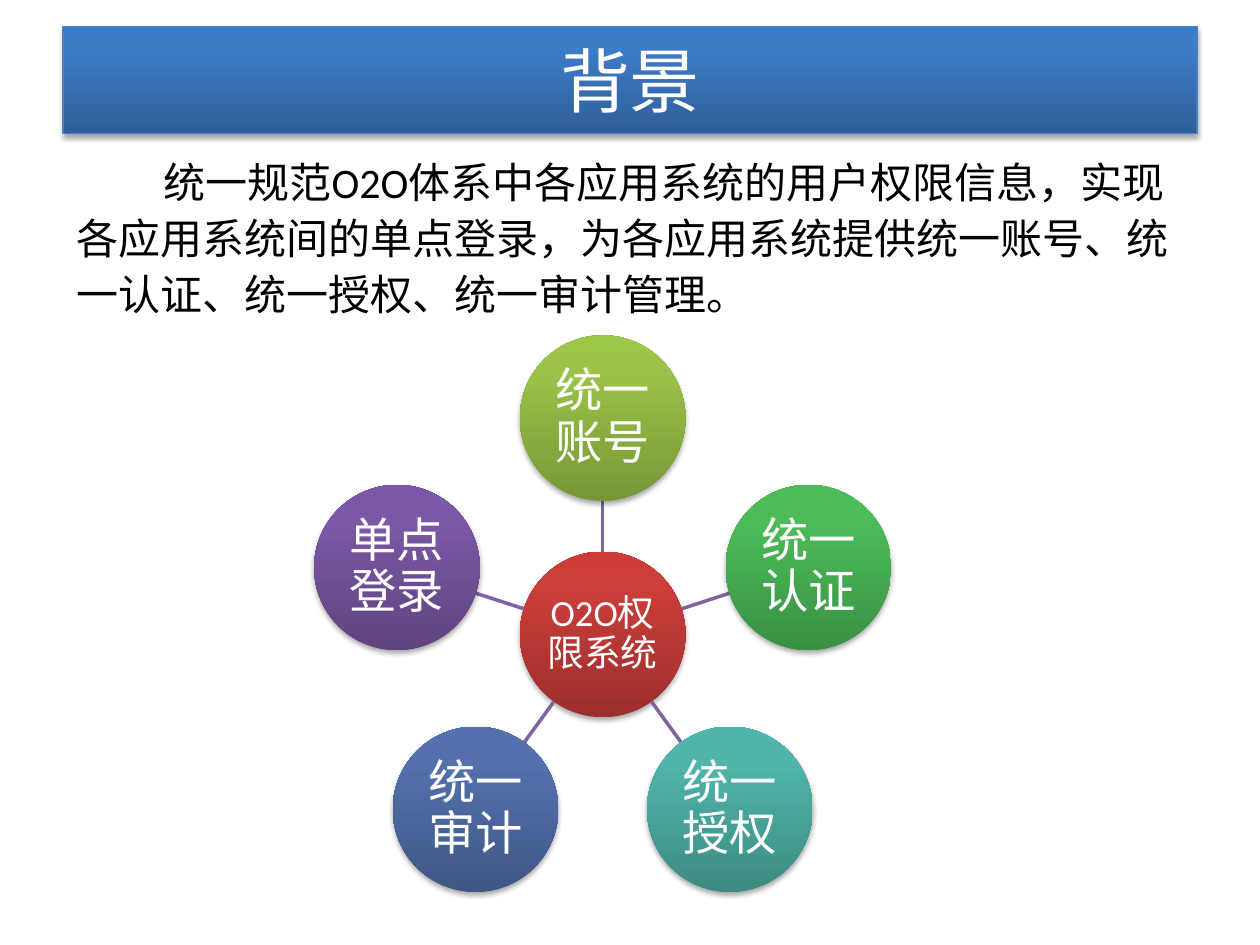
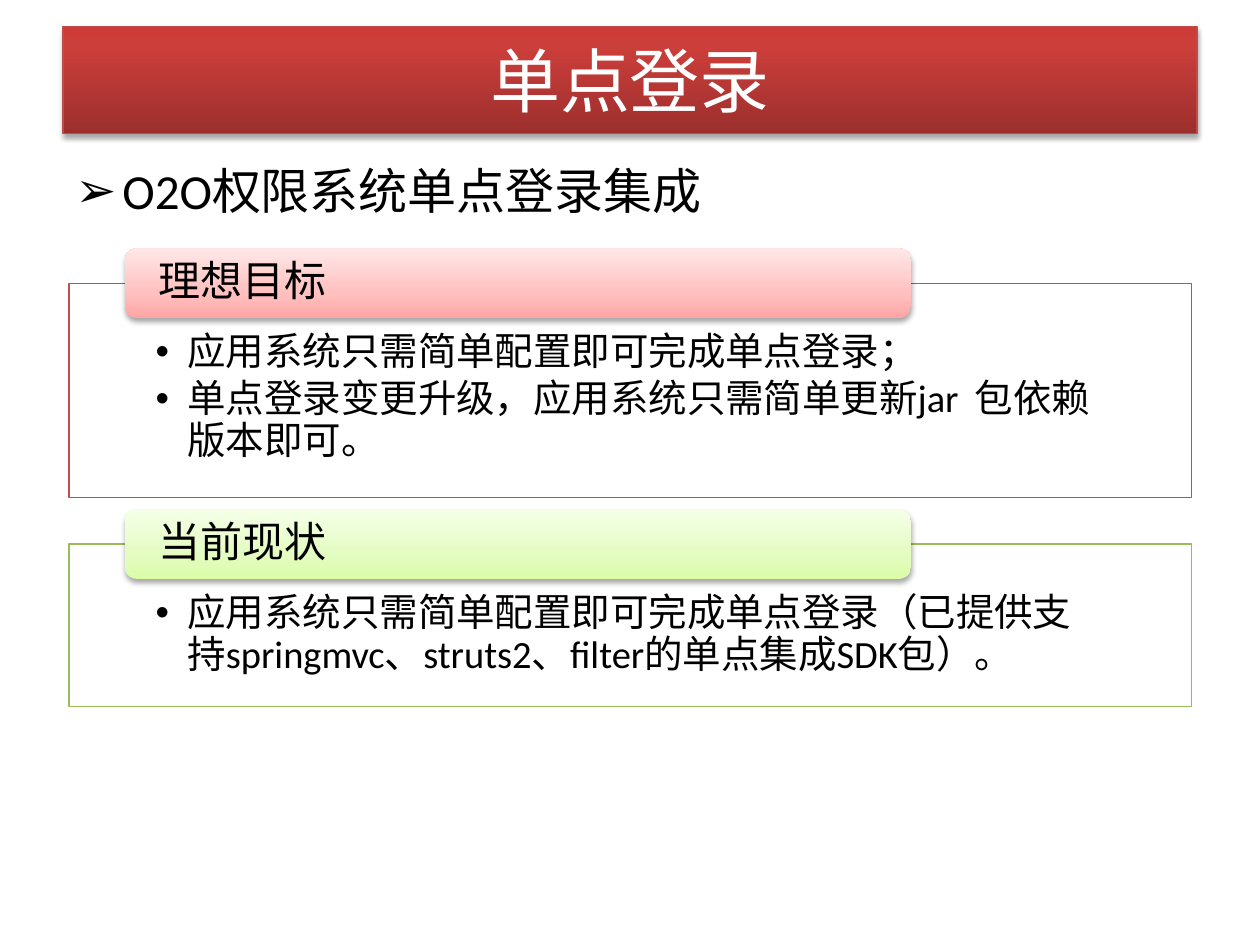
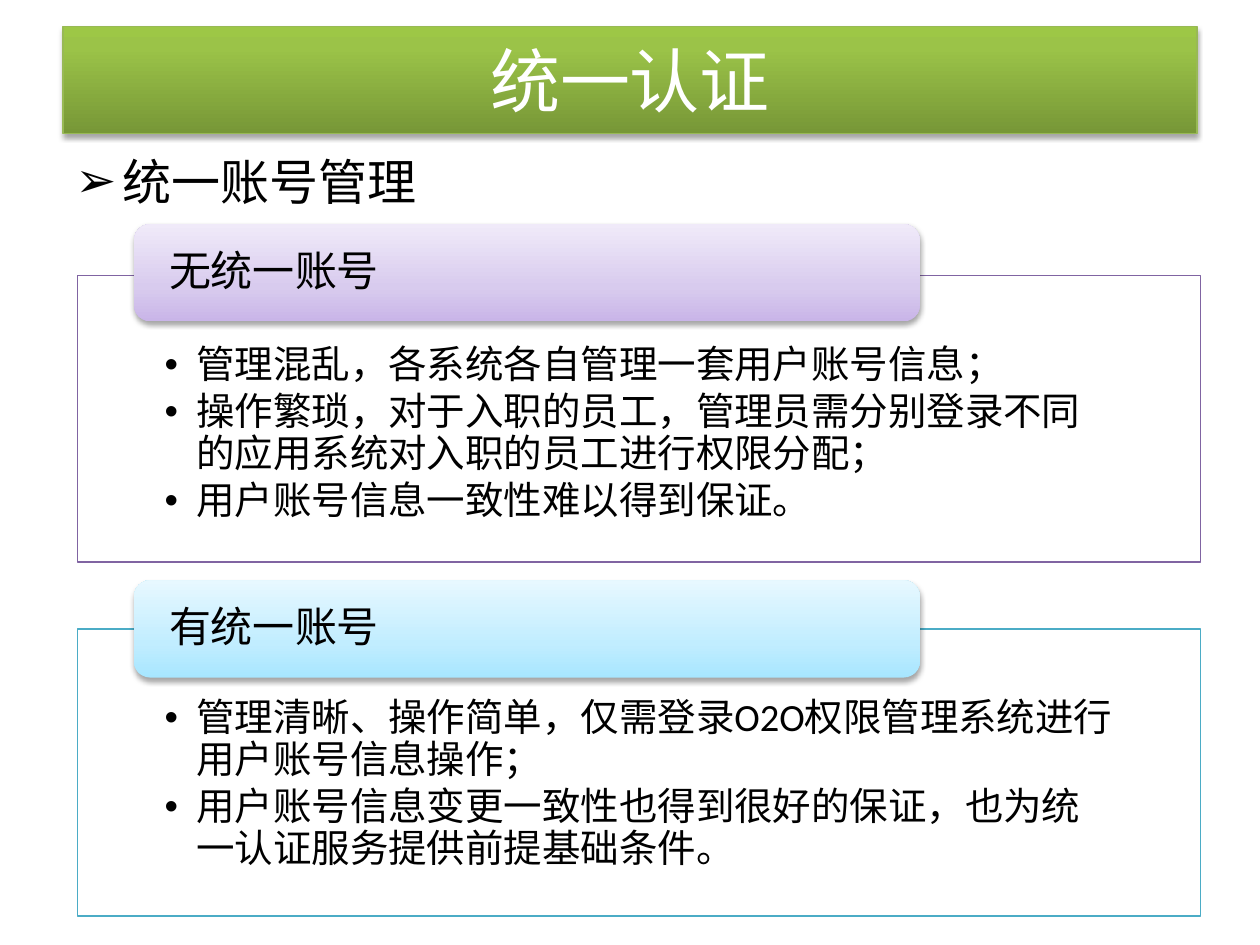
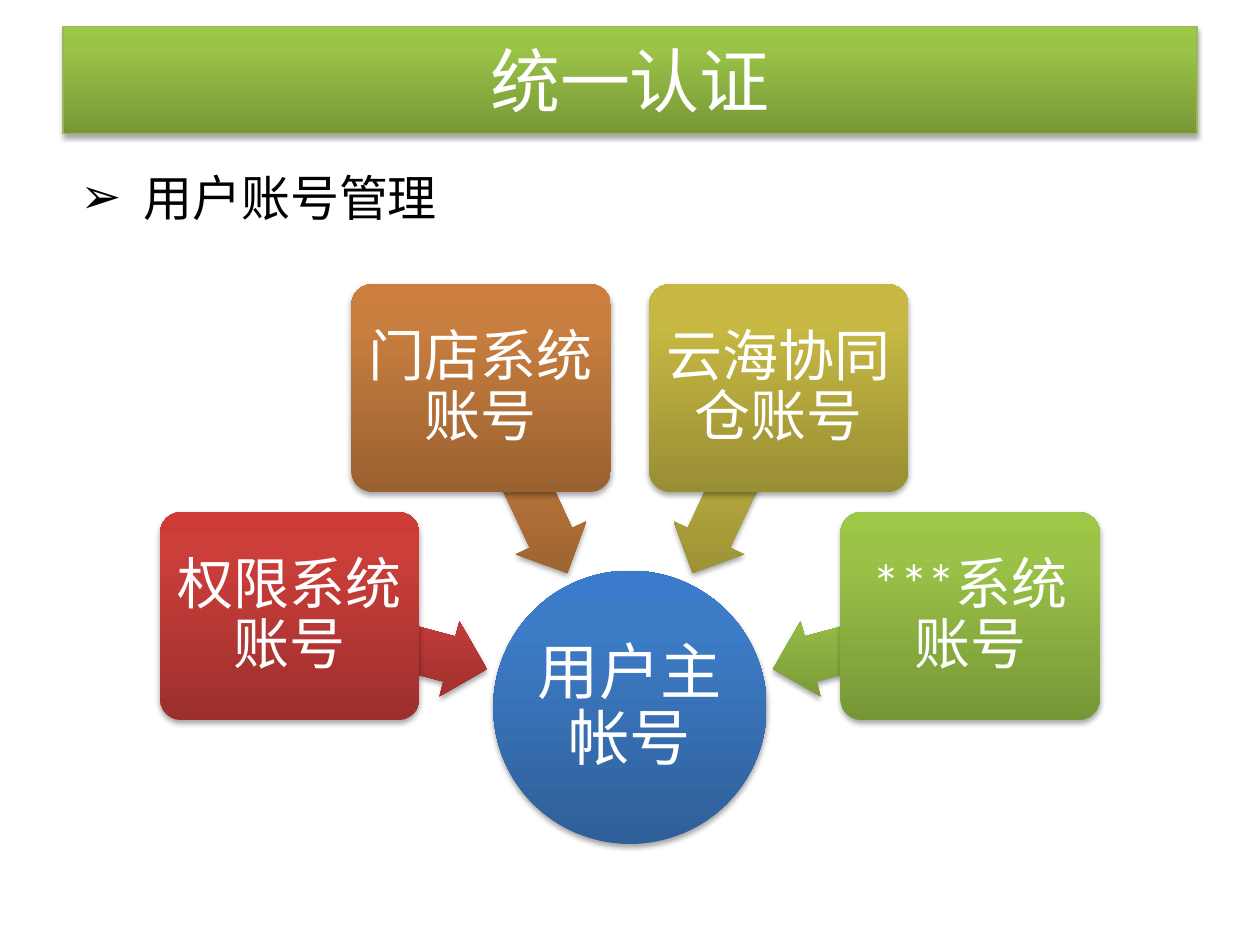
import copy
import math
from collections import namedtuple

from pptx import Presentation
from pptx.dml.color import RGBColor
from pptx.enum import shapes, text
from pptx.oxml import ns, xmlchemy
from pptx.util import Cm, Pt

Box = namedtuple("Box", "left top width height")

FONT = "Calibri"
WHITE = RGBColor(0xFF, 0xFF, 0xFF)
BLACK = RGBColor(0x00, 0x00, 0x00)
BLUE_LINE = RGBColor(0x4B, 0x7E, 0xBC)
RED_LINE = RGBColor(0xBF, 0x4C, 0x48)
GREEN_LINE = RGBColor(0x98, 0xB9, 0x55)
RED_FRAME = RGBColor(0xC0, 0x50, 0x4D)
LIME_FRAME = RGBColor(0x9B, 0xBB, 0x59)
PURPLE_FRAME = RGBColor(0x80, 0x64, 0xA2)
AQUA_FRAME = RGBColor(0x4B, 0xAC, 0xC6)


def gradient(middle, *codes):
    """Three stops, from the bottom edge upwards."""
    return list(zip((0, middle, 1), map(RGBColor.from_string, codes)))


BLUE = gradient(0.8, "2F5F99", "3D7CC7", "3A7CCB")
RED = gradient(0.8, "9C2F2D", "CB3E3A", "CE3B37")
LIME = gradient(0.8, "779737", "9BC348", "9DC746")
GREEN = gradient(0.8, "3A9144", "4CBC58", "4ABF57")
TEAL = gradient(0.8, "3D8B83", "50B5AA", "4EB8AC")
INDIGO = gradient(0.8, "405786", "5471AE", "5271B0")
PURPLE = gradient(0.8, "5F4480", "7B58A6", "7C57A8")
ORANGE = gradient(0.8, "9A6130", "C87E3F", "CC7E3C")
OLIVE = gradient(0.8, "988E34", "C6B843", "C9BB41")
PALE_RED = gradient(0.35, "FFA6A5", "FFC0BF", "FFE7E7")
PALE_LIME = gradient(0.35, "DAFDA7", "E4FCC2", "F5FFE7")
PALE_PURPLE = gradient(0.35, "C9B5E8", "D8CBEE", "F0EAF9")
PALE_AQUA = gradient(0.35, "A7E6FF", "C1EDFF", "E7F8FF")

TITLE_BOX = Box(1.27, 0.53, 22.86, 2.16)
SHAPE = shapes.MSO_SHAPE
CENTER, LEFT = text.PP_ALIGN.CENTER, text.PP_ALIGN.LEFT
TOP, MIDDLE = text.MSO_ANCHOR.TOP, text.MSO_ANCHOR.MIDDLE


def add_element(parent, tag, **attributes):
    """Append a drawing element with its attributes."""
    element = xmlchemy.OxmlElement(tag)
    for name, value in attributes.items():
        element.set(name, str(value))
    parent.append(element)
    return element


def centred_box(x, y, width, height):
    """Box of a given size around a point."""
    return Box(x - width / 2, y - height / 2, width, height)


def polar(center, radius, degrees):
    """Point at a distance and clockwise angle from a centre."""
    angle = math.radians(degrees)
    return center[0] + radius * math.cos(angle), center[1] + radius * math.sin(angle)


def add_shape(slide, kind, box, line=None, line_width=0.75):
    """Shape without shadow; the caller sets its fill."""
    shape = slide.shapes.add_shape(kind, *map(Cm, box))
    shape.shadow.inherit = False
    if line is None:
        shape.line.fill.background()
    else:
        shape.line.color.rgb = line
        shape.line.width = Pt(line_width)
    return shape


def add_glossy(slide, kind, box, stops, line=None):
    """Shape with an upright gradient and a soft shadow beneath it."""
    shape = add_shape(slide, kind, box, line)
    shape.fill.gradient()
    shape.fill.gradient_angle = 90
    properties = shape._element.spPr
    fill = properties.find(ns.qn("a:gradFill"))
    fill.set("rotWithShape", "0")
    stop_list = fill.find(ns.qn("a:gsLst"))
    stop_list.append(copy.deepcopy(stop_list[-1]))
    for stop, (position, color) in zip(shape.fill.gradient_stops, stops):
        stop.position = position
        stop.color.rgb = color
    effects = properties.find(ns.qn("a:effectLst"))
    shadow = add_element(effects, "a:outerShdw", blurRad=Pt(3.1), dist=Pt(1.8),
                         dir=5400000, rotWithShape=0)
    color = add_element(shadow, "a:srgbClr", val="000000")
    add_element(color, "a:alpha", val=35000)
    return shape


def setup_frame(shape, anchor, margins=None):
    """Wrap and anchor the text; margins are left, top, right, bottom."""
    frame = shape.text_frame
    frame.word_wrap = True
    frame.vertical_anchor = anchor
    if margins:
        (frame.margin_left, frame.margin_top,
         frame.margin_right, frame.margin_bottom) = map(Cm, margins)
    return frame


def write(frame, lines, size, color=BLACK, align=LEFT, spacing=None,
          before=0, after=0, bullet=None, hanging=0, first_line=0):
    """One paragraph for each line; before and after are shares of the size."""
    for index, line in enumerate(lines):
        paragraph = frame.add_paragraph() if index else frame.paragraphs[0]
        paragraph.alignment = align
        properties = paragraph._p.get_or_add_pPr()
        properties.set("marL", str(Cm(hanging)))
        properties.set("indent", str(Cm(first_line - hanging)))
        if bullet:
            add_element(properties, "a:buFont", typeface="Arial")
            add_element(properties, "a:buChar", char=bullet)
        paragraph.line_spacing = spacing
        paragraph.space_before = Pt(size * before)
        paragraph.space_after = Pt(size * after)
        run = paragraph.add_run()
        run.text = line
        run.font.name = FONT
        run.font.size = Pt(size)
        run.font.color.rgb = color


def write_label(shape, label, size, margin):
    """White centred label inside a diagram shape."""
    frame = setup_frame(shape, MIDDLE, [margin] * 4)
    write(frame, [label], size, WHITE, CENTER, spacing=0.9, after=0.35)


def title_band(slide, title, stops, line):
    """Title band across the top."""
    band = add_glossy(slide, SHAPE.RECTANGLE, TITLE_BOX, stops, line)
    write(setup_frame(band, MIDDLE), [title], 40, WHITE, CENTER)


def body_box(slide, box):
    """White body area; returns its text frame."""
    shape = add_shape(slide, SHAPE.RECTANGLE, box, WHITE, 2)
    shape.fill.solid()
    shape.fill.fore_color.rgb = WHITE
    return setup_frame(shape, TOP)


def heading(frame, line, hanging=0.95, before=0.2):
    """Heading with an arrow bullet."""
    write(frame, [line], 28, before=before, bullet="➢", hanging=hanging)


def panel(slide, box, color, stops, title, lines, tab_height, inset, lift=0):
    """Outlined list with a title tab astride its top edge."""
    outline = add_shape(slide, SHAPE.RECTANGLE, box, color)
    outline.fill.solid()
    outline.fill.fore_color.rgb = WHITE
    add_element(outline._element.spPr.find(ns.qn("a:solidFill"))[0], "a:alpha", val=90000)
    frame = setup_frame(outline, TOP, (1.75, inset, 1.75, 0.43))
    write(frame, lines, 22, spacing=0.9, after=0.15, bullet="•", hanging=0.64)

    tab_box = Box(box.left + box.width * 0.05, box.top - tab_height / 2 - lift,
                  box.width * 0.7, tab_height)
    tab = add_glossy(slide, SHAPE.ROUNDED_RECTANGLE, tab_box, stops)
    frame = setup_frame(tab, MIDDLE, (0.61, 0, 0.61, 0))
    write(frame, [title], 24, spacing=0.9, after=0.35)


def hub_diagram(slide, center, orbit, diameter, hub_label, nodes):
    """Hub with equally spaced nodes, clockwise from the top."""
    hub = add_glossy(slide, SHAPE.OVAL, centred_box(*center, diameter, diameter), RED)
    write_label(hub, hub_label, 21, 0.03)
    for index, (label, stops) in enumerate(nodes):
        angle = -90 + index * 360 / len(nodes)
        start = polar(center, diameter / 2, angle)
        end = polar(center, orbit - diameter / 2, angle)
        spoke = slide.shapes.add_connector(shapes.MSO_CONNECTOR.STRAIGHT,
                                           *map(Cm, start + end))
        spoke.line.color.rgb = PURPLE_FRAME
        spoke.line.width = Pt(2)
        add_element(spoke._element.spPr, "a:effectLst")
        node_box = centred_box(*polar(center, orbit, angle), diameter, diameter)
        node = add_glossy(slide, SHAPE.OVAL, node_box, stops)
        write_label(node, label, 27, 0.05)


def converging_diagram(slide, center, diameter, target_label, sources):
    """Boxes on an arc, each with an arrow towards the central circle."""
    target = add_glossy(slide, SHAPE.OVAL, centred_box(*center, diameter, diameter), BLUE)
    write_label(target, target_label, 35, 0.05)
    for index, (label, stops) in enumerate(sources):
        angle = 195 + 50 * index
        arrow_box = centred_box(*polar(center, 5.04, angle), 4.11, 1.57)
        arrow = add_glossy(slide, SHAPE.LEFT_ARROW, arrow_box, stops)
        arrow.adjustments[0], arrow.adjustments[1] = 0.6, 0.5
        arrow.rotation = angle
        source_box = centred_box(*polar(center, 7.1, angle), 5.23, 4.19)
        source = add_glossy(slide, SHAPE.ROUNDED_RECTANGLE, source_box, stops)
        source.adjustments[0] = 0.1
        write_label(source, label, 32, 0.18)


def background_slide(slide):
    """Purpose of the system and its five services."""
    title_band(slide, "背景", BLUE, BLUE_LINE)
    write(body_box(slide, Box(1.3, 2.92, 22.86, 13.97)),
          ["统一规范O2O体系中各应用系统的用户权限信息，实现各应用系统间的单点登录，"
           "为各应用系统提供统一账号、统一认证、统一授权、统一审计管理。"],
          24, spacing=Pt(32), before=0.2, first_line=1.75)
    hub_diagram(slide, (12.15, 12.79), 4.36, 3.34, "O2O权限系统", [
        ("统一账号", LIME), ("统一认证", GREEN), ("统一授权", TEAL),
        ("统一审计", INDIGO), ("单点登录", PURPLE)])


def sign_on_slide(slide):
    """Single sign-on: goal and present state."""
    heading(body_box(slide, Box(1.27, 3.12, 22.86, 13.89)), "O2O权限系统单点登录集成")
    title_band(slide, "单点登录", RED, RED_LINE)
    panel(slide, Box(1.39, 5.71, 22.63, 4.32), RED_FRAME, PALE_RED, "理想目标", [
        "应用系统只需简单配置即可完成单点登录；",
        "单点登录变更升级，应用系统只需简单更新jar\t包依赖版本即可。"], 1.4, 0.99)
    panel(slide, Box(1.39, 10.97, 22.63, 3.28), LIME_FRAME, PALE_LIME, "当前现状", [
        "应用系统只需简单配置即可完成单点登录（已提供支持springmvc、struts2、"
        "filter的单点集成SDK包）。"], 1.4, 0.99)


def unified_account_slide(slide):
    """Work without and with unified accounts."""
    box = slide.shapes.add_textbox(*map(Cm, Box(1.27, 2.92, 22.86, 14.1)))
    heading(setup_frame(box, TOP), "统一账号管理")
    title_band(slide, "统一认证", LIME, GREEN_LINE)
    panel(slide, Box(1.57, 5.56, 22.63, 5.77), PURPLE_FRAME, PALE_PURPLE, "无统一账号", [
        "管理混乱，各系统各自管理一套用户账号信息；",
        "操作繁琐，对于入职的员工，管理员需分别登录不同的应用系统对入职的员工进行权限分配；",
        "用户账号信息一致性难以得到保证。"], 1.96, 1.4, lift=0.06)
    panel(slide, Box(1.57, 12.68, 22.63, 5.79), AQUA_FRAME, PALE_AQUA, "有统一账号", [
        "管理清晰、操作简单，仅需登录O2O权限管理系统进行用户账号信息操作；",
        "用户账号信息变更一致性也得到很好的保证，也为统一认证服务提供前提基础条件。"],
        1.96, 1.4)


def user_account_slide(slide):
    """System accounts that join in one main account."""
    title_band(slide, "统一认证", LIME, GREEN_LINE)
    converging_diagram(slide, (12.7, 14.26), 5.51, "用户主帐号", [
        ("权限系统账号", RED), ("门店系统账号", ORANGE),
        ("云海协同仓账号", OLIVE), ("***系统账号", LIME)])
    box = slide.shapes.add_textbox(*map(Cm, Box(1.37, 3.25, 22.76, 2.64)))
    heading(setup_frame(box, TOP), "用户账号管理", hanging=1.27, before=0)


def main():
    """Build and save the slides."""
    presentation = Presentation()
    presentation.slide_width, presentation.slide_height = Cm(25.4), Cm(19.05)
    blank = presentation.slide_layouts[6]
    for build in (background_slide, sign_on_slide, unified_account_slide, user_account_slide):
        build(presentation.slides.add_slide(blank))
    presentation.save("out.pptx")


main()
